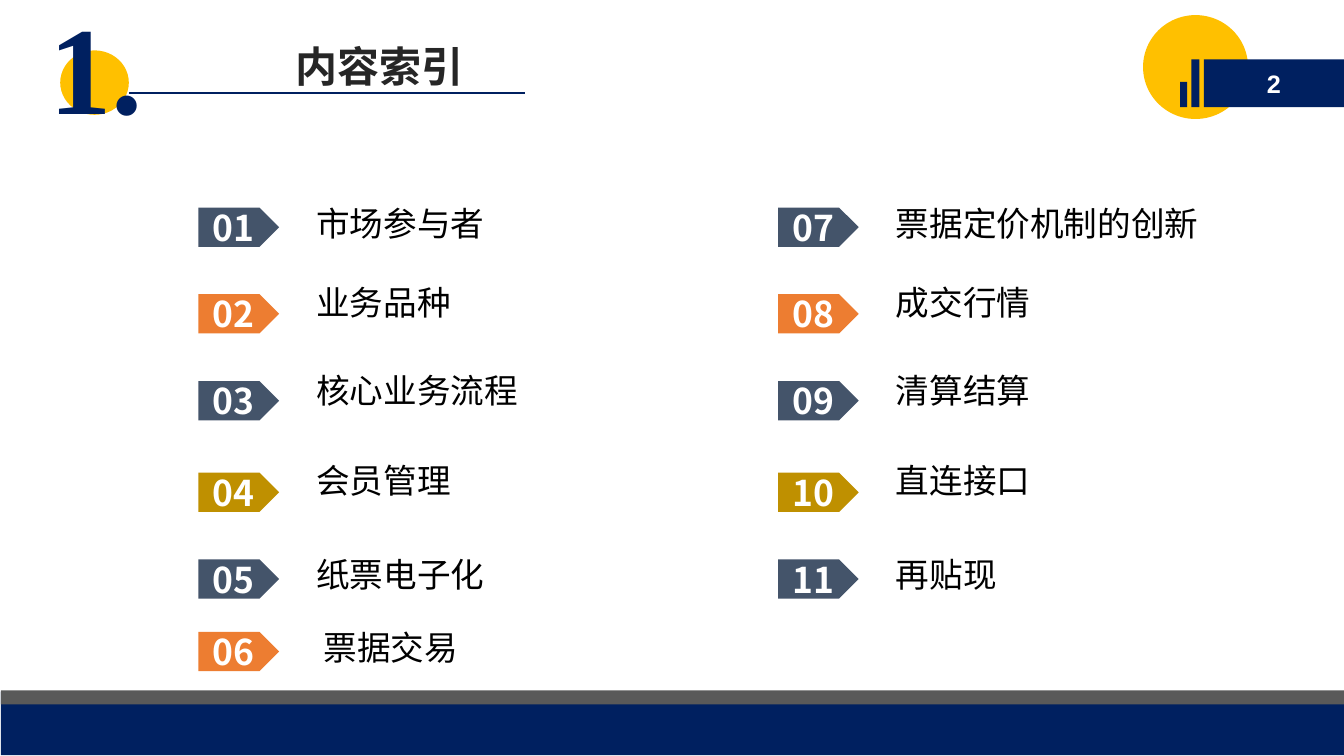
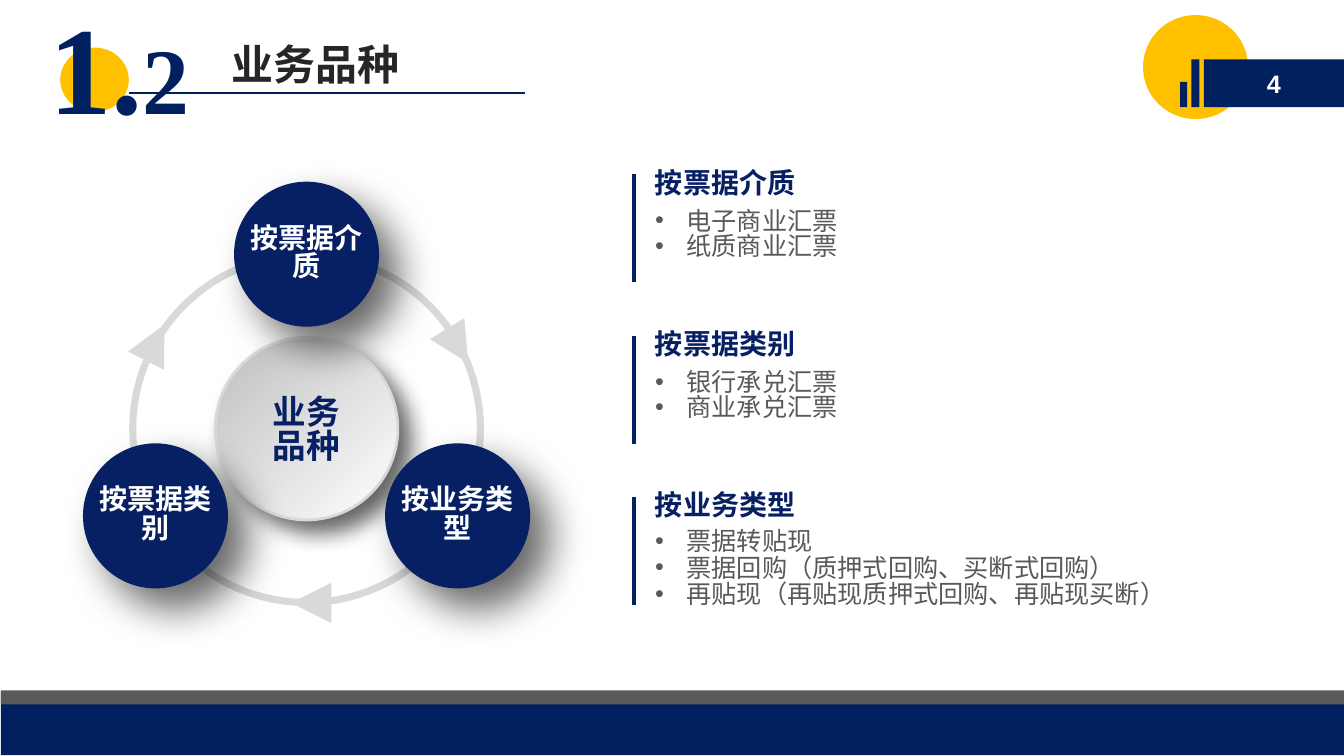
"""Build the contents slide and the business types slide."""
from math import cos, radians, sin
from lxml.etree import SubElement
from pptx import Presentation
from pptx.dml.color import RGBColor as RGB
from pptx.enum.shapes import MSO_CONNECTOR as Link, MSO_SHAPE as Kind
from pptx.enum.text import MSO_ANCHOR as Anchor, PP_ALIGN as Align
from pptx.oxml.ns import qn
from pptx.util import Pt

HUES = {
    "navy": "002060", "ink": "072063", "gold": "FFC000", "gray": "595959",
    "title": "262626", "slate": "44546A", "orange": "ED7D31",
    "ochre": "BF9000", "pale": "D9D9D9", "mid": "BFBFBF",
    "white": "FFFFFF", "black": "000000",
}
HUES = {name: RGB.from_string(code) for name, code in HUES.items()}
SANS = "Noto Sans CJK SC"
TIGHT = 0.84


def draw(slide, kind, box, fill, edge=None):
    shape = slide.shapes.add_shape(kind, *map(Pt, box))
    shape.shadow.inherit = False
    shape.fill.solid()
    shape.fill.fore_color.rgb = HUES[fill]
    if edge:
        shape.line.color.rgb = HUES[edge]
        shape.line.width = Pt(2)
    else:
        shape.line.fill.background()
    return shape


def write(shape, rows, size, hue, bold=True, face=SANS, align=Align.LEFT,
          lead=None, gap=0, dot=False):
    frame = shape.text_frame
    frame.word_wrap = True
    for num, row in enumerate(rows):
        para = frame.add_paragraph() if num else frame.paragraphs[0]
        para.alignment = align
        if lead:
            para.line_spacing = lead
        if gap:
            para.space_after = Pt(gap)
        if dot:
            prop = para._p.get_or_add_pPr()
            prop.set("marL", str(Pt(22.5)))
            prop.set("indent", str(-Pt(22.5)))
            SubElement(prop, qn("a:buFont"), typeface="Arial")
            SubElement(prop, qn("a:buChar"), char="•")
        run = para.add_run()
        run.text = row
        font = run.font
        font.size, font.bold, font.name = Pt(size), bold, face
        font.color.rgb = HUES[hue]
        SubElement(font._element, qn("a:ea"), typeface=face)
    return frame


deck = Presentation()
deck.slide_width, deck.slide_height = Pt(960), Pt(540)

pages = []
for page, minor, title, left, top in [
    ("2", "", "内容索引", 204, 31.5), ("4", "2", "业务品种", 158.4, 29.5),
]:
    slide = deck.slides.add_slide(deck.slide_layouts[6])
    pages.append(slide)
    draw(slide, Kind.OVAL, (816.5, 10.8, 75, 74.2), "gold")
    draw(slide, Kind.RECTANGLE, (0.7, 494, 959.3, 45.4), "navy")
    draw(slide, Kind.RECTANGLE, (0.7, 493.2, 959.3, 10), "gray")
    tab = draw(slide, Kind.RECTANGLE, (860, 42.5, 100, 34), "navy")
    write(tab, [page], 18, "white", face="Arial", align=Align.CENTER)
    draw(slide, Kind.RECTANGLE, (851, 42.5, 5.8, 34), "navy")
    draw(slide, Kind.RECTANGLE, (843, 58.5, 5, 18), "navy")
    draw(slide, Kind.OVAL, (43, top + 4.5, 49, 46), "gold")
    head = slide.shapes.add_textbox(Pt(left), Pt(top), Pt(387), Pt(44))
    write(head, [title], 30, "title", lead=TIGHT)
    rule = slide.shapes.add_connector(Link.STRAIGHT, Pt(92), Pt(66.2), Pt(375), Pt(66.2))
    rule.line.color.rgb = HUES["navy"]
    rule.line.width = Pt(1.5)
    SubElement(rule._element.spPr, qn("a:effectLst"))
    mark = slide.shapes.add_textbox(Pt(28), Pt(-11), Pt(180), Pt(116))
    frame = write(mark, ["1."], 89, "navy", face="Times New Roman")
    if minor:
        run = frame.paragraphs[0].add_run()
        run.text = minor
        run.font.size, run.font.bold = Pt(67), True
        run.font.name = "Times New Roman"
        run.font.color.rgb = HUES["navy"]

index, types = pages

topics = [
    ["市场参与者", "业务品种", "核心业务流程", "会员管理", "纸票电子化", "票据交易"],
    ["票据定价机制的创新", "成交行情", "清算结算", "直连接口", "再贴现"],
]
rows = [
    (148.3, 149.3, "slate"), (210.2, 206.2, "orange"), (272.2, 269, "slate"),
    (337.7, 333, "ochre"), (399.6, 400, "slate"), (451.4, 452.4, "orange"),
]
for col, names in enumerate(topics):
    left = 141.8 + 414 * col
    for row, (name, (top, base, hue)) in enumerate(zip(names, rows)):
        tag = draw(index, Kind.PENTAGON, (left, top, 57.6, 28), hue)
        item = index.shapes.add_textbox(
            Pt(left + (89.3 if row == 5 else 84.2)), Pt(base), Pt(226), Pt(29))
        for shape in (tag, item):
            frame = shape.text_frame
            frame.margin_left = frame.margin_right = 0
            frame.margin_top = frame.margin_bottom = 0
        tag.text_frame.vertical_anchor = Anchor.MIDDLE
        write(tag, [f"{col * 6 + row + 1:02}"], 25.3, "white", align=Align.CENTER)
        write(item, [name], 24, "black", bold=False, lead=TIGHT)

groups = [
    ("按票据介质", -90, ["电子商业汇票", "纸质商业汇票"]),
    ("按票据类别", 150, ["银行承兑汇票", "商业承兑汇票"]),
    ("按业务类型", 30, ["票据转贴现", "票据回购（质押式回购、买断式回购）",
                   "再贴现（再贴现质押式回购、再贴现买断）"]),
]
midx, midy, reach = 219, 306.2, 124.6
ring = draw(types, Kind.DONUT, (midx - 126.7, midy - 126.7, 253.4, 253.4), "pale")
ring.adjustments[0] = 0.02
for left, top, turn in [(312.5, 232.6, 148.5), (208, 416.2, 270), (96.5, 230.4, 27.1)]:
    tip = draw(types, Kind.ISOSCELES_TRIANGLE, (left, top, 28.8, 28.8), "pale")
    tip.rotation = turn

hub = draw(types, Kind.OVAL, (midx - 65.2, midy - 65.2, 130.4, 130.4), "white", "pale")
hub.fill.gradient()
hub.fill.gradient_angle = 135
for stop, hue, spot in zip(hub.fill.gradient_stops, ("white", "mid"), (0, 1)):
    stop.color.rgb = HUES[hue]
    stop.position = spot
discs = [(hub, 16, 12)]
spots = []
for name, turn, items in groups:
    left = midx + reach * cos(radians(turn))
    top = midy + reach * sin(radians(turn))
    spots.append((name, left, top))
    disc = draw(types, Kind.OVAL, (left - 50.8, top - 50.8, 101.6, 101.6), "ink", "ink")
    discs.append((disc, 30, 20))
for disc, blur, dist in discs:
    glow = SubElement(
        disc._element.spPr.find(qn("a:effectLst")), qn("a:outerShdw"),
        blurRad=str(Pt(blur)), dist=str(Pt(dist)), dir="2700000",
        algn="tl", rotWithShape="0")
    tone = SubElement(glow, qn("a:srgbClr"), val=str(HUES["black"]))
    SubElement(tone, qn("a:alpha"), val="60000")

core = types.shapes.add_textbox(Pt(midx - 44), Pt(280.4), Pt(88), Pt(65.5))
write(core, ["业务", "品种"], 24, "ink", align=Align.CENTER, lead=TIGHT)
for name, left, top in spots:
    label = types.shapes.add_textbox(Pt(left - 49), Pt(top - 24), Pt(98), Pt(55.4))
    write(label, [name], 20, "white", align=Align.CENTER, lead=TIGHT)

for num, (name, turn, items) in enumerate(groups):
    top = 117.4 + 115.2 * num
    last = num == 2
    body = types.shapes.add_textbox(Pt(460.8), Pt(top + 29), Pt(383), Pt(51))
    write(body, items, 18, "gray", bold=False, dot=True,
          lead=0.76 if last else TIGHT, gap=2.5 if last else 0)
    head = types.shapes.add_textbox(Pt(460.8), Pt(top + 1), Pt(261), Pt(31.7))
    write(head, [name], 20, "ink", lead=TIGHT)
    bar = types.shapes.add_connector(
        Link.STRAIGHT, Pt(452.9), Pt(top + 7.2), Pt(452.9), Pt(top + 84.2))
    bar.line.color.rgb = HUES["ink"]
    bar.line.width = Pt(3)
    SubElement(bar._element.spPr, qn("a:effectLst"))

deck.save("out.pptx")
